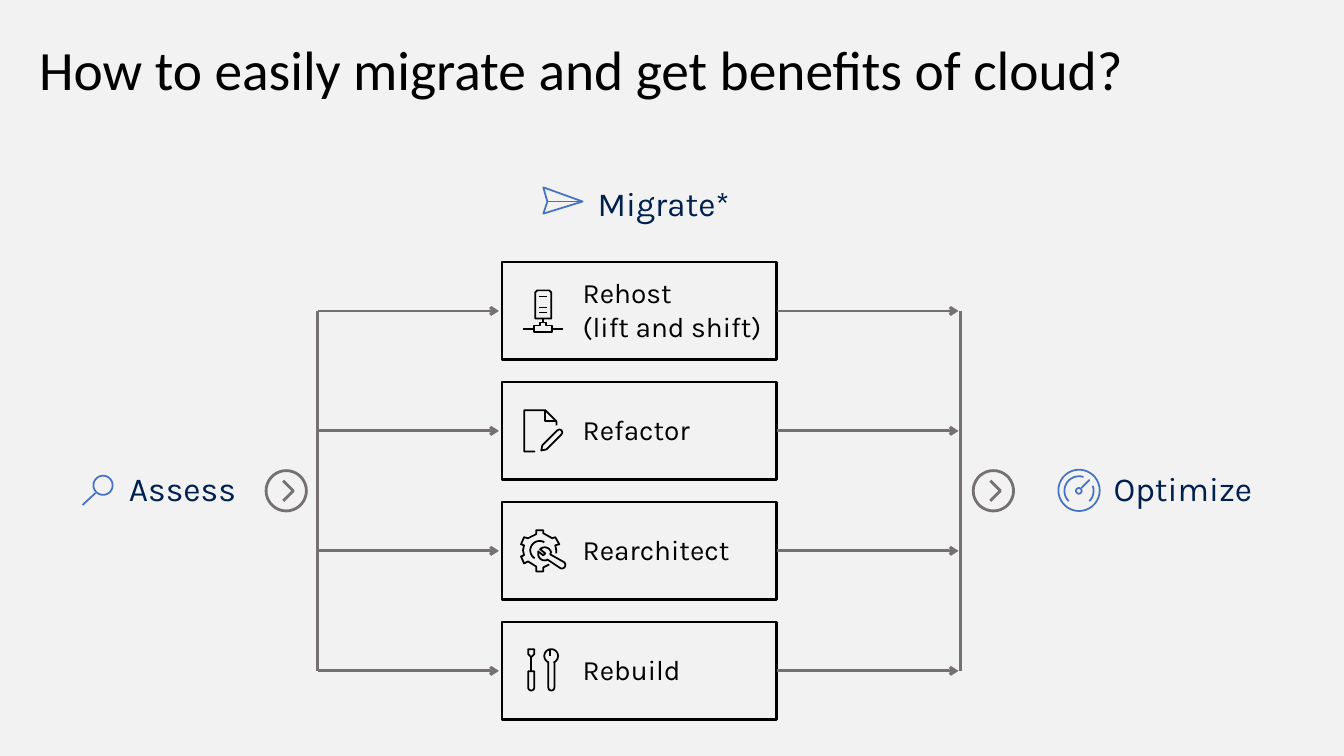
from dataclasses import dataclass
from math import cos, radians, sin

from lxml.etree import SubElement
from pptx import Presentation
from pptx.dml.color import RGBColor as Rgb
from pptx.enum.shapes import MSO_CONNECTOR as Connector, MSO_SHAPE as Preset
from pptx.enum.text import MSO_ANCHOR as Anchor, PP_ALIGN as Align
from pptx.oxml.ns import qn
from pptx.util import Pt

Point = tuple[float, float]
Stroke = tuple[list[Point], bool]  # points, closed

COLORS = {"back": "F2F2F2", "ink": "000000", "label": "002050",
          "accent": "4472C4", "flow": "767171"}
GRID = 0.72  # points per icon unit


@dataclass
class Icon:
    strokes: list[Stroke]
    color: str = "ink"
    weight: float = 1.25


@dataclass
class Stage:
    name: str
    left: float
    top: float
    icon: Icon
    icon_left: float
    icon_top: float


@dataclass
class Option:
    lines: list[str]
    icon: Icon
    icon_left: float
    icon_drop: float


def rgb(name: str) -> Rgb:
    return Rgb.from_string(COLORS[name])


def arc(x: float, y: float, r: float, start: float, end: float) -> list[Point]:
    steps = max(6, int(abs(end - start) / 10))
    angles = [radians(start + (end - start) * i / steps) for i in range(steps + 1)]
    return [(x + r * cos(a), y + r * sin(a)) for a in angles]


def circle(x: float, y: float, r: float) -> Stroke:
    return arc(x, y, r, 0, 350), True


def path(*points: Point) -> Stroke:
    return list(points), False


# Icons, drawn on a grid that starts at their top left corner
CHEVRON = Icon([circle(20, 20, 20), path((17, 30), (27, 20), (17, 10))], "flow", 2)
MAGNIFIER = Icon([circle(20.3, 9.5, 9.5), path((0, 29), (13, 17))], "accent")
PLANE = Icon([path((3, 1), (39, 14), (0, 26), (4, 14), (0, 0), (3, 1)),
              path((4, 14), (39, 14))], "accent")
GAUGE = Icon([circle(20.5, 20.5, 20.5), circle(20.3, 21, 2.8),
              (arc(20.5, 21, 14.5, 45, -20), False),
              (arc(20.5, 21, 14.5, -72, -225), False),
              path((31, 10), (23, 18))], "accent")
SERVER = Icon([
    ([(20, 41), (11, 41), (11, 35), (17, 35), (17, 32), (23, 32), (23, 35),
      (29, 35), (29, 41)], True),
    path((11, 38), (0, 38)), path((29, 38), (40, 38)), path((20, 32), (20, 28)),
    ([(28, 28), (28, 2), (26, 0), (14, 0), (12, 2), (12, 28)], True),
    *[path((16, y), (24, y)) for y in (6, 17, 22)]])
DOCUMENT = Icon([
    path((32, 15), (32, 11), (21, 0), (0, 0), (0, 41), (11, 41)),
    path((32, 11), (21, 11), (21, 0)),
    ([(17, 40), (22, 39), (37, 24), (38, 22), (37, 20), (35, 19), (33, 20),
      (18, 35)], True)])
GEAR = Icon([
    path((28, 34), (22, 37), (22, 41), (15, 41), (15, 36), (7, 31), (3, 33),
         (0, 26), (3, 25), (2, 20), (3, 15), (0, 14), (3, 7), (7, 8), (15, 4),
         (15, 0), (22, 0), (22, 3), (31, 8), (34, 7), (38, 14), (34, 15),
         (35, 20), (35, 23)),
    (arc(18.5, 20, 9.3, -60, -238), False),
    ([(26, 29), *arc(40.5, 34.5, 3.5, 125, -60), (29, 24),
      *arc(23.5, 23.5, 6.5, -15, -135), (24, 23), (22, 25), (17, 21),
      *arc(23.5, 23.5, 6.5, 170, 65)], True)])
TOOLS = Icon([
    ([*arc(22.8, 6.8, 6.8, 115, 425), (26, 13), *arc(23, 38, 3, 0, 180),
      (20, 13)], True),
    ([(0, 22), *arc(3, 38, 3, 180, 0), (6, 22)], True),
    ([(6, 0), (0, 0), (0, 5), (3, 8), (6, 5)], True),
    path((3, 8), (3, 22)), path((22, 0), (22, 7))])

STAGES = [Stage("Assess", 85, 326.2, MAGNIFIER, 59, 339.8),
          Stage("Migrate*", 419.8, 122.4, PLANE, 388.1, 133.9),
          Stage("Optimize", 788.4, 326.2, GAUGE, 756, 335.5)]
OPTIONS = [Option(["Rehost", "(lift and shift)"], SERVER, 373.7, 20.2),
           Option(["Refactor"], DOCUMENT, 374.4, 20.1),
           Option(["Rearchitect"], GEAR, 372.2, 20.1),
           Option(["Rebuild"], TOOLS, 377.3, 19.4)]

BOX_LEFT, BOX_TOP, BOX_WIDTH, BOX_HEIGHT, BOX_STEP = 358.6, 187.2, 195.8, 69.8, 85.7
ARROW_LENGTH = 129.6
LEFT_RAIL, RIGHT_RAIL, RIGHT_ARROWS = 226.8, 686.2, 555.1

TITLE_FONT = {"size": Pt(39.6), "name": "Calibri"}
STAGE_FONT = {"size": Pt(24), "name": "Karla"}
OPTION_FONT = {"size": Pt(20), "name": "Karla"}
TITLE_FRAME = {"word_wrap": True, "vertical_anchor": Anchor.MIDDLE}
STAGE_FRAME = {"word_wrap": True, "margin_left": Pt(7.2), "margin_top": Pt(11.5),
               "margin_right": Pt(14.4), "margin_bottom": Pt(11.5)}
OPTION_FRAME = {"word_wrap": True, "vertical_anchor": Anchor.MIDDLE,
                "margin_left": Pt(57.6), "margin_top": Pt(1.4),
                "margin_right": Pt(7.2), "margin_bottom": Pt(3.6)}
TITLE_PARAGRAPH = {"alignment": Align.LEFT, "line_spacing": 0.9}
STAGE_PARAGRAPH = TITLE_PARAGRAPH | {"space_after": Pt(5.9)}
OPTION_PARAGRAPH = {"alignment": Align.LEFT}


def apply(target: object, formats: dict) -> None:
    for key, value in formats.items():
        setattr(target, key, value)


def write(shape, lines: list[str], frame: dict, paragraph: dict, font: dict,
          color: str) -> None:
    apply(shape.text_frame, frame)
    shape.text_frame.text = "\n".join(lines)
    for line in shape.text_frame.paragraphs:
        apply(line, paragraph)
        apply(line.font, font)
        line.font.color.rgb = rgb(color)


def outline(shape, color: str, weight: float) -> None:
    shape.shadow.inherit = False
    shape.fill.background()
    shape.line.color.rgb = rgb(color)
    shape.line.width = Pt(weight)


def draw_icon(shapes, icon: Icon, left: float, top: float) -> None:
    builder = None
    for points, closed in icon.strokes:
        start, *rest = [(Pt(left + x * GRID), Pt(top + y * GRID)) for x, y in points]
        if builder is None:
            builder = shapes.build_freeform(*start, scale=1.0)
        else:
            builder.move_to(*start)
        builder.add_line_segments(rest, close=closed)
    outline(builder.convert_to_shape(), icon.color, icon.weight)


def draw_line(shapes, x1: float, y1: float, x2: float, y2: float,
              arrow: bool = False) -> None:
    line = shapes.add_connector(Connector.STRAIGHT, Pt(x1), Pt(y1), Pt(x2), Pt(y2))
    line.line.color.rgb = rgb("flow")
    line.line.width = Pt(2)
    if arrow:
        SubElement(line.line._get_or_add_ln(), qn("a:tailEnd"), type="arrow")
    SubElement(line._element.spPr, qn("a:effectLst"))


def main() -> None:
    deck = Presentation()
    deck.slide_width, deck.slide_height = Pt(960), Pt(540)
    slide = deck.slides.add_slide(deck.slide_layouts[6])
    slide.background.fill.solid()
    slide.background.fill.fore_color.rgb = rgb("back")
    shapes = slide.shapes

    # Title
    title = shapes.add_textbox(Pt(20.9), Pt(28.1), Pt(918), Pt(48.2))
    write(title, ["How to easily migrate and get benefits of cloud?"],
          TITLE_FRAME, TITLE_PARAGRAPH, TITLE_FONT, "ink")

    # Stages
    for stage in STAGES:
        label = shapes.add_textbox(Pt(stage.left), Pt(stage.top), Pt(141.1), Pt(49))
        write(label, [stage.name], STAGE_FRAME, STAGE_PARAGRAPH, STAGE_FONT, "label")
        draw_icon(shapes, stage.icon, stage.icon_left, stage.icon_top)

    # Migration options with the arrows in and out
    for row, option in enumerate(OPTIONS):
        top = BOX_TOP + row * BOX_STEP
        box = shapes.add_shape(Preset.RECTANGLE, Pt(BOX_LEFT), Pt(top),
                               Pt(BOX_WIDTH), Pt(BOX_HEIGHT))
        outline(box, "ink", 2)
        write(box, option.lines, OPTION_FRAME, OPTION_PARAGRAPH, OPTION_FONT, "ink")
        draw_icon(shapes, option.icon, option.icon_left, top + option.icon_drop)
        middle = top + BOX_HEIGHT / 2
        for start in (LEFT_RAIL, RIGHT_ARROWS):
            draw_line(shapes, start, middle, start + ARROW_LENGTH, middle, arrow=True)

    # Rails and the chevrons beside them
    first = BOX_TOP + BOX_HEIGHT / 2
    last = first + BOX_STEP * (len(OPTIONS) - 1)
    for rail, chevron_left in ((LEFT_RAIL, 190.1), (RIGHT_RAIL, 695.2)):
        draw_line(shapes, rail, first, rail, last)
        draw_icon(shapes, CHEVRON, chevron_left, 336.2)

    deck.save("out.pptx")


if __name__ == "__main__":
    main()
